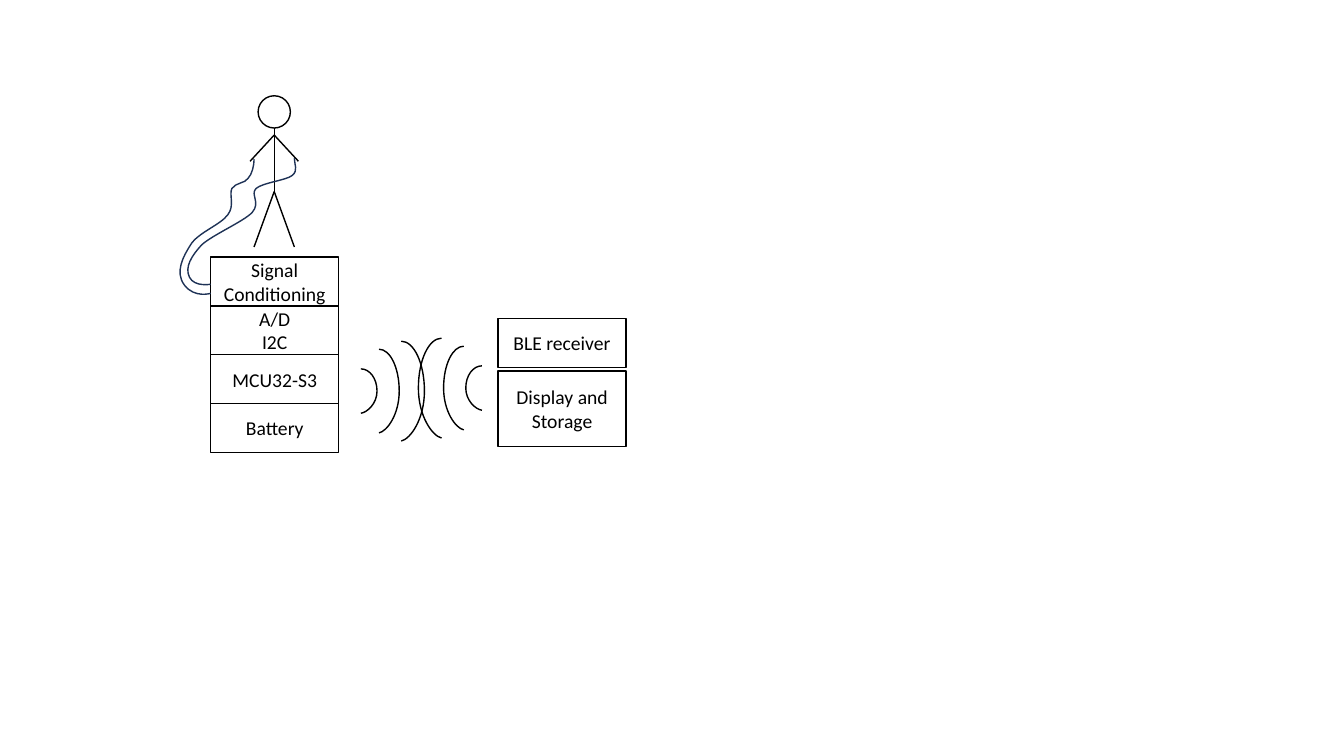
from lxml import etree
from pptx import Presentation, util as u
from pptx.dml.color import RGBColor
from pptx.enum import shapes, text
from pptx.oxml.ns import qn

INK, WIRE, PAPER = "000000", "1E3256", "FFFFFF"
prs = Presentation()
prs.slide_width, prs.slide_height = u.Inches(13.33), u.Inches(7.5)
canvas = prs.slides.add_slide(prs.slide_layouts[6]).shapes


def paint(part, line, fill=None):
    """Outline a shape, with an optional fill and no shadow."""
    part.shadow.inherit = False
    part.line.color.rgb = RGBColor.from_string(line)
    part.line.width = u.Pt(1)
    if fill:
        part.fill.solid()
        part.fill.fore_color.rgb = RGBColor.from_string(fill)
    else:
        part.fill.background()


def draw_curve(points, line):
    """Draw cubic curves through a start and groups of three points."""
    start, *rest = [(u.Inches(x), u.Inches(y)) for x, y in points]
    builder = canvas.build_freeform(*start, scale=1.0)
    builder.add_line_segments(rest, close=False)
    curve = builder.convert_to_shape()
    segments = list(curve._element.iter(qn("a:lnTo")))
    for i in range(0, len(segments), 3):
        bezier = etree.Element(qn("a:cubicBezTo"))
        segments[i].addprevious(bezier)
        for segment in segments[i:i + 3]:
            bezier.append(segment[0])
            segment.getparent().remove(segment)
    paint(curve, line)


# Person: head, then spine, legs and arms
spine_x, shoulder_y, hip_y = 2.72, 1.34, 1.9
head = canvas.add_shape(shapes.MSO_SHAPE.OVAL, u.Inches(spine_x - 0.16),
                        u.Inches(0.95), u.Inches(0.32), u.Inches(0.32))
paint(head, INK, PAPER)
limbs = [(spine_x, 1.27, hip_y)]
for side in (1, -1):
    limbs += [(spine_x + side * 0.2, 2.45, hip_y),
              (spine_x + side * 0.24, 1.6, shoulder_y)]
for end_x, end_y, joint_y in limbs:
    limb = canvas.add_connector(
        shapes.MSO_CONNECTOR.STRAIGHT, u.Inches(end_x), u.Inches(end_y),
        u.Inches(spine_x), u.Inches(joint_y))
    limb.line.color.rgb = RGBColor.from_string(INK)
    limb.line.width = u.Pt(1)
    etree.SubElement(limb._element.spPr, qn("a:effectLst"))

# Device stack and receiver stack
column, row = 1.27, 0.485
device_x, device_y, receiver_x = 2.09, 2.55, 4.94
device = ["Signal\nConditioning", "A/D\nI2C", "MCU32-S3", "Battery"]
blocks = [(device_x, device_y + i * row, row, label)
          for i, label in enumerate(device)]
blocks += [(receiver_x, 3.16, row, "BLE receiver"),
           (receiver_x, 3.68, 0.75, "Display and Storage")]
for x, y, height, label in blocks:
    block = canvas.add_shape(shapes.MSO_SHAPE.RECTANGLE, u.Inches(x),
                             u.Inches(y), u.Inches(column), u.Inches(height))
    paint(block, INK)
    frame = block.text_frame
    frame.text = label
    frame.word_wrap = True
    frame.vertical_anchor = text.MSO_ANCHOR.MIDDLE
    for paragraph in frame.paragraphs:
        paragraph.alignment = text.PP_ALIGN.CENTER
        font = paragraph.runs[0].font
        font.name, font.size = "Calibri", u.Pt(14)
        font.color.rgb = RGBColor.from_string(INK)

# Radio waves: the receiver's mirror the device's
for source_x, middle, way in ((3.58, 3.88, 1), (4.78, 3.85, -1)):
    for offset, depth, height in ((0, 0.16, 0.44), (0.18, 0.2, 0.83),
                                  (0.4, 0.23, 0.99)):
        outline = [(0, -0.5), (0.55, -0.5), (1, -0.28), (1, 0),
                   (1, 0.28), (0.4, 0.48), (0, 0.5)]
        draw_curve([(source_x + way * (offset + depth * dx),
                     middle + height * dy) for dx, dy in outline], INK)

# Electrode wires from the hands to signal conditioning
left_wire = [(2.52, 1.58), (2.52, 1.64), (2.5, 1.73), (2.46, 1.77),
             (2.43, 1.82), (2.34, 1.81), (2.3, 1.87),
             (2.27, 1.93), (2.33, 2.04), (2.26, 2.13),
             (2.19, 2.23), (1.96, 2.31), (1.89, 2.43),
             (1.82, 2.54), (1.73, 2.7), (1.83, 2.83),
             (1.93, 2.96), (2.09, 2.91), (2.09, 2.91)]
right_wire = [(2.92, 1.57), (2.92, 1.63), (2.96, 1.69), (2.9, 1.74),
              (2.84, 1.79), (2.61, 1.81), (2.54, 1.87),
              (2.48, 1.93), (2.59, 2.01), (2.5, 2.11),
              (2.41, 2.2), (2.11, 2.33), (2, 2.43),
              (1.9, 2.54), (1.83, 2.65), (1.88, 2.75),
              (1.93, 2.85), (2.09, 2.82), (2.09, 2.82)]
for wire in (left_wire, right_wire):
    draw_curve(wire, WIRE)

prs.save("out.pptx")
